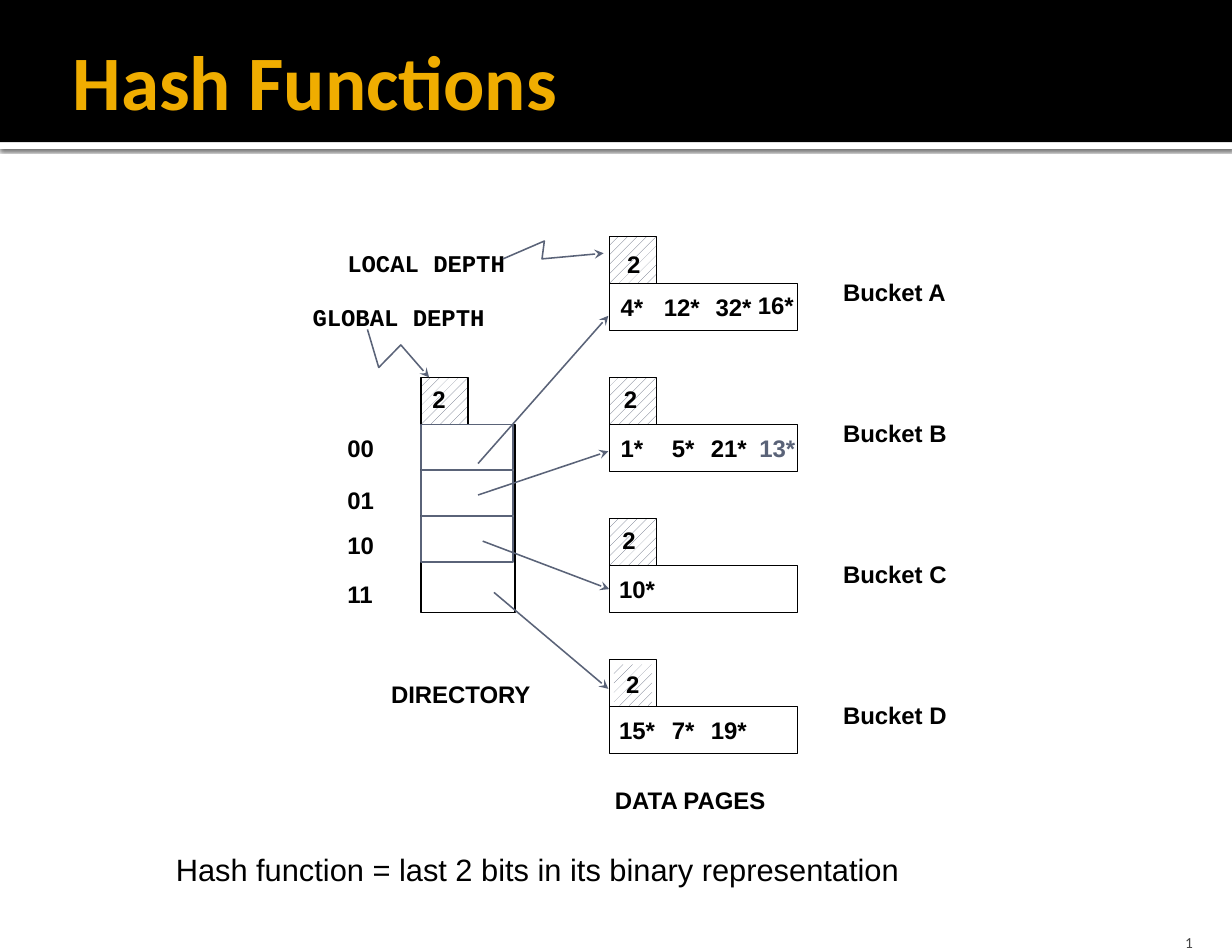
from dataclasses import dataclass

from lxml.etree import SubElement
from pptx import Presentation
from pptx.dml.color import RGBColor
from pptx.enum.dml import MSO_PATTERN
from pptx.enum.shapes import MSO_CONNECTOR, MSO_SHAPE
from pptx.enum.text import MSO_ANCHOR, MSO_AUTO_SIZE, PP_ALIGN
from pptx.oxml.ns import qn
from pptx.util import Inches, Pt

WIDTH, HEIGHT = 11, 8.5
BAND_HEIGHT = 1.27
CELL = 0.42  # side of one grid square
GRID_LEFT, GRID_TOP = 3.76, 2.11
PAGE_COLUMN = 4
KEY_COLUMNS = {2: 1.05, 3: 1.35}  # label width by number of characters


@dataclass(frozen=True)
class Theme:
    black: str = "000000"
    white: str = "FFFFFF"
    slate: str = "5A6378"
    gold: str = "F0AD00"
    gray: str = "454545"
    sans: str = "Arial"
    mono: str = "Courier New"
    heading: str = "Calibri"
    title_size: float = 49.5
    label_size: float = 15.4
    note_size: float = 19.8
    number_size: float = 9.9


THEME = Theme()


@dataclass(frozen=True)
class Key:
    text: str
    column: float
    color: str = THEME.black
    drop: float = 0.08


@dataclass(frozen=True)
class Bucket:
    name: str
    depth_column: float
    depth_drop: float
    keys: tuple
    pointer_start: tuple
    pointer_end: tuple


BUCKETS = (
    Bucket("A", 4.12, 0.17,
           (Key("4*", 3.98), Key("12*", 4.9), Key("32*", 6), Key("16*", 6.9, drop=0.03)),
           (1.21, 4.83), (3.98, 1.69)),
    Bucket("B", 4.05, 0.03,
           (Key("1*", 3.98), Key("5*", 5.07), Key("21*", 5.9), Key("13*", 6.93, THEME.slate)),
           (1.21, 5.5), (3.98, 4.57)),
    Bucket("C", 4.02, 0.03, (Key("10*", 3.95),), (1.31, 6.48), (4, 7.5)),
    Bucket("D", 4.1, 0.1, (Key("15*", 3.95), Key("7*", 5.07), Key("19*", 5.9)),
           (1.55, 7.57), (3.98, 9.62)),
)
CODE_ROWS = {"00": 4.07, "01": 5.19, "10": 6.14, "11": 7.17}
LABELS = (  # text, column, row, width in columns, font
    ("LOCAL DEPTH", -1.83, 0.14, 3.93, THEME.mono),
    ("GLOBAL DEPTH", -2.57, 1.29, 4.24, THEME.mono),
    ("DIRECTORY", -0.9, 9.31, 3.52, THEME.sans),
    ("DATA PAGES", 3.86, 11.55, 3.76, THEME.sans),
)
ZIGZAGS = (
    ((1.74, 0.48), (2.62, 0.1), (2.57, 0.48), (3.88, 0.36)),
    ((-1.14, 1.98), (-0.9, 2.79), (-0.43, 2.31), (0.17, 3)),
)


def rgb(color: str) -> RGBColor:
    return RGBColor.from_string(color)


def point(column: float, row: float) -> tuple:
    return Inches(GRID_LEFT + column * CELL), Inches(GRID_TOP + row * CELL)


def area(column: float, row: float, columns: float, rows: float) -> tuple:
    return (*point(column, row), Inches(columns * CELL), Inches(rows * CELL))


def inches(*lengths: float) -> tuple:
    return tuple(map(Inches, lengths))


def hatch(shape) -> None:
    shape.fill.patterned()
    shape.fill.pattern = MSO_PATTERN.PERCENT_20
    shape.fill.fore_color.rgb = rgb(THEME.slate)
    shape.fill.back_color.rgb = rgb(THEME.white)


def add_box(slide, place: tuple, fill=None, line=None, hatched=False):
    shape = slide.shapes.add_shape(MSO_SHAPE.RECTANGLE, *place)
    shape.shadow.inherit = False
    if hatched:
        hatch(shape)
    elif fill:
        shape.fill.solid()
        shape.fill.fore_color.rgb = rgb(fill)
    else:
        shape.fill.background()
    if line:
        shape.line.color.rgb = rgb(line)
        shape.line.width = Pt(1)
    else:
        shape.line.fill.background()
    return shape


def write(shape, text: str, *, size=THEME.label_size, font=THEME.sans, color=THEME.black,
          bold=True, align=PP_ALIGN.LEFT, anchor=MSO_ANCHOR.TOP,
          insets=(0.11, 0.05, 0.11, 0.05), wrap=False, grow=True) -> None:
    frame = shape.text_frame
    frame.word_wrap = wrap
    frame.auto_size = MSO_AUTO_SIZE.SHAPE_TO_FIT_TEXT if grow else MSO_AUTO_SIZE.NONE
    frame.vertical_anchor = anchor
    (frame.margin_left, frame.margin_top,
     frame.margin_right, frame.margin_bottom) = inches(*insets)
    paragraph = frame.paragraphs[0]
    paragraph.alignment = align
    run = paragraph.add_run()
    run.text = text
    run.font.size, run.font.name, run.font.bold = Pt(size), font, bold
    run.font.color.rgb = rgb(color)


def add_label(slide, text: str, column: float, row: float, columns: float, **style):
    label = slide.shapes.add_textbox(*area(column, row, columns, 0.88))
    write(label, text, **style)
    return label


def style_arrow(shape) -> None:
    shape.line.color.rgb = rgb(THEME.slate)
    shape.line.width = Pt(1)
    SubElement(shape.element.spPr.find(qn("a:ln")), qn("a:tailEnd"), type="stealth")


def add_zigzag(slide, corners: tuple) -> None:
    start, *rest = (point(*corner) for corner in corners)
    builder = slide.shapes.build_freeform(*start)
    builder.add_line_segments(rest, close=False)
    shape = builder.convert_to_shape()
    shape.fill.background()
    shape.shadow.inherit = False
    style_arrow(shape)


def add_pointer(slide, bucket: Bucket, page, page_row: float) -> None:
    pointer = slide.shapes.add_connector(
        MSO_CONNECTOR.STRAIGHT, *point(*bucket.pointer_start), *point(*bucket.pointer_end))
    if bucket.pointer_end == (PAGE_COLUMN, page_row + 0.5):
        pointer.end_connect(page, 1)
    style_arrow(pointer)
    SubElement(pointer.element.spPr, qn("a:effectLst"))


def add_header(slide) -> None:
    strip = add_box(slide, inches(0, BAND_HEIGHT, WIDTH, 0.06), fill=THEME.white)
    effects = strip.element.spPr.find(qn("a:effectLst"))
    shadow = SubElement(effects, qn("a:outerShdw"), blurRad=str(Pt(2.5)),
                        dist=str(Pt(0.8)), dir="5400000")
    color = SubElement(shadow, qn("a:srgbClr"), val=THEME.black)
    SubElement(color, qn("a:alpha"), val="60000")
    add_box(slide, inches(0, 0, WIDTH, BAND_HEIGHT), fill=THEME.black)
    title = slide.shapes.title
    title.left, title.top, title.width, title.height = inches(0.55, 0.19, 9.9, 1.04)
    title.element.getparent().append(title.element)  # in front of the band
    write(title, "Hash Functions", size=THEME.title_size, font=THEME.heading,
          color=THEME.gold, anchor=MSO_ANCHOR.MIDDLE, insets=(0.1, 0.05, 0.05, 0.05),
          wrap=True, grow=False)


def add_bucket(slide, bucket: Bucket, row: int) -> None:
    nested_hatch = bucket.name == "D"
    add_box(slide, area(PAGE_COLUMN, row, 1, 1), line=THEME.black, hatched=not nested_hatch)
    page = add_box(slide, area(PAGE_COLUMN, row + 1, 4, 1), line=THEME.black)
    depth = add_label(slide, "2", bucket.depth_column, row + bucket.depth_drop, 0.81)
    if nested_hatch:
        hatch(depth)
    for key in bucket.keys:
        add_label(slide, key.text, key.column, row + 1 + key.drop,
                  KEY_COLUMNS[len(key.text)], color=key.color)
    add_label(slide, f"Bucket {bucket.name}", 8.71, row + 0.76, 2.76)
    add_pointer(slide, bucket, page, row + 1)


def add_directory(slide) -> None:
    add_box(slide, area(0, 3, 1, 1), line=THEME.black, hatched=True)
    add_box(slide, area(0, 4, 2, 4), line=THEME.black)
    add_label(slide, "2", -0.02, 3.03, 0.81)
    for slot in range(3):
        add_box(slide, area(0, 4 + slot * 0.98, 1.95, 0.96), line=THEME.slate)
    for code, row in CODE_ROWS.items():
        add_label(slide, code, -1.83, row, 1.1)


def main() -> None:
    presentation = Presentation()
    presentation.slide_width, presentation.slide_height = inches(WIDTH, HEIGHT)
    slide = presentation.slides.add_slide(presentation.slide_layouts[5])
    add_header(slide)
    add_directory(slide)
    for index, bucket in enumerate(BUCKETS):
        add_bucket(slide, bucket, 3 * index)
    for text, column, row, columns, font in LABELS:
        add_label(slide, text, column, row, columns, font=font)
    for corners in ZIGZAGS:
        add_zigzag(slide, corners)
    add_label(slide, "Hash function = last 2 bits in its binary representation",
              -5.45, 12.95, 16, size=THEME.note_size, bold=False,
              insets=(0.1, 0.05, 0.1, 0.05))
    number = slide.shapes.add_textbox(*inches(9.87, 8.16, 0.88, 0.34))
    write(number, "1", size=THEME.number_size, font=THEME.heading, color=THEME.gray,
          bold=False, align=PP_ALIGN.RIGHT, anchor=MSO_ANCHOR.BOTTOM,
          insets=(0.1, 0.05, 0.1, 0), wrap=True, grow=False)
    presentation.save("out.pptx")


if __name__ == "__main__":
    main()
